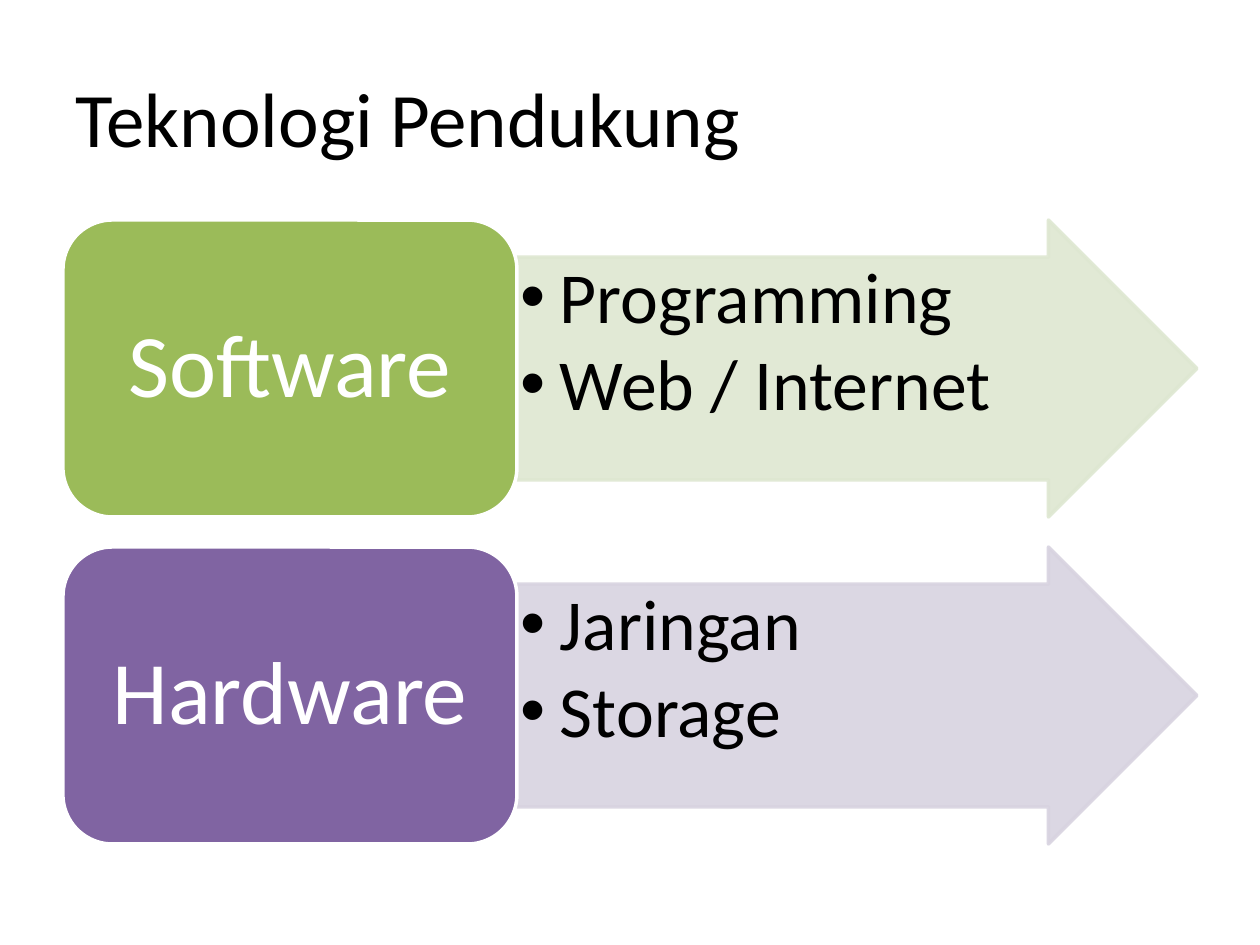
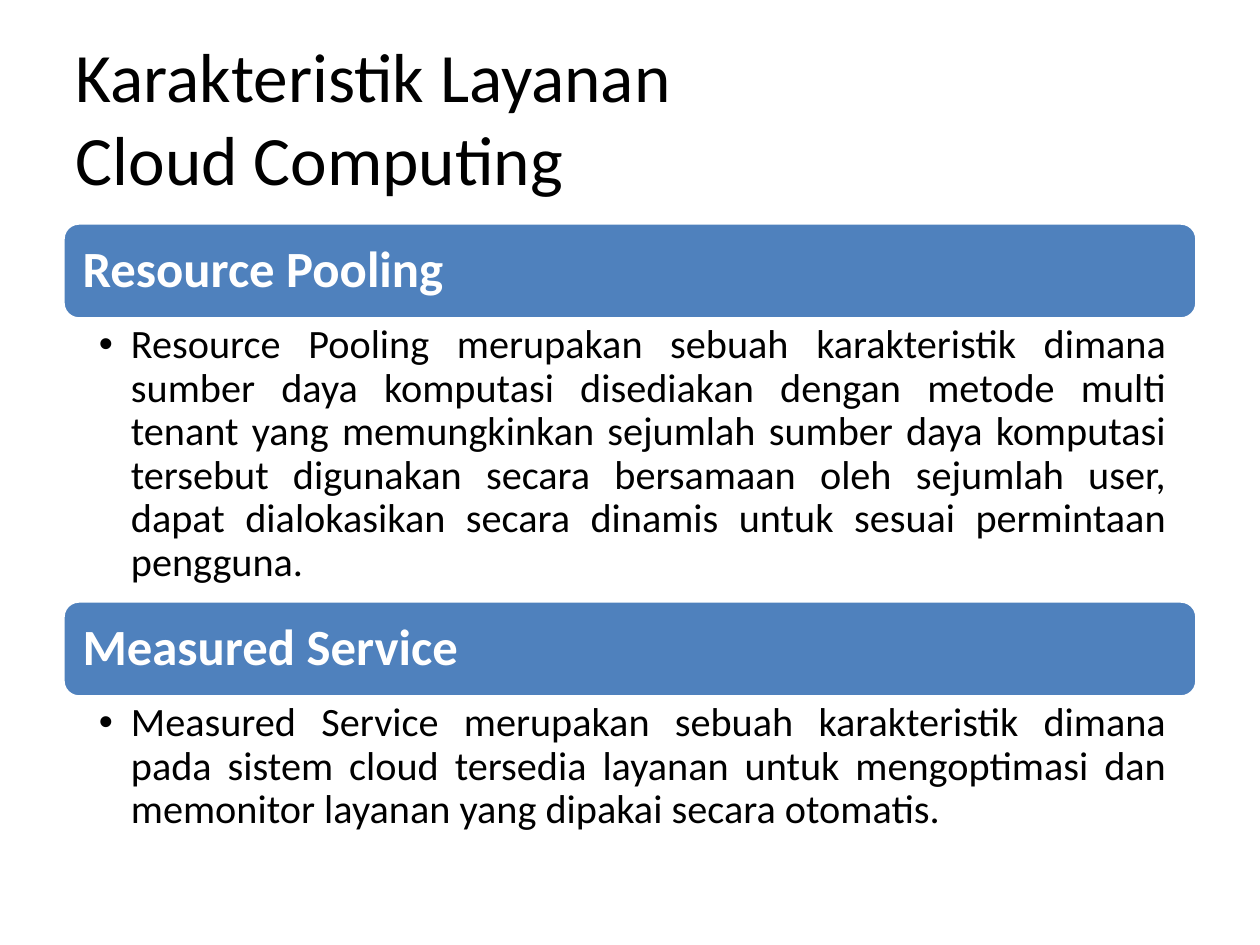
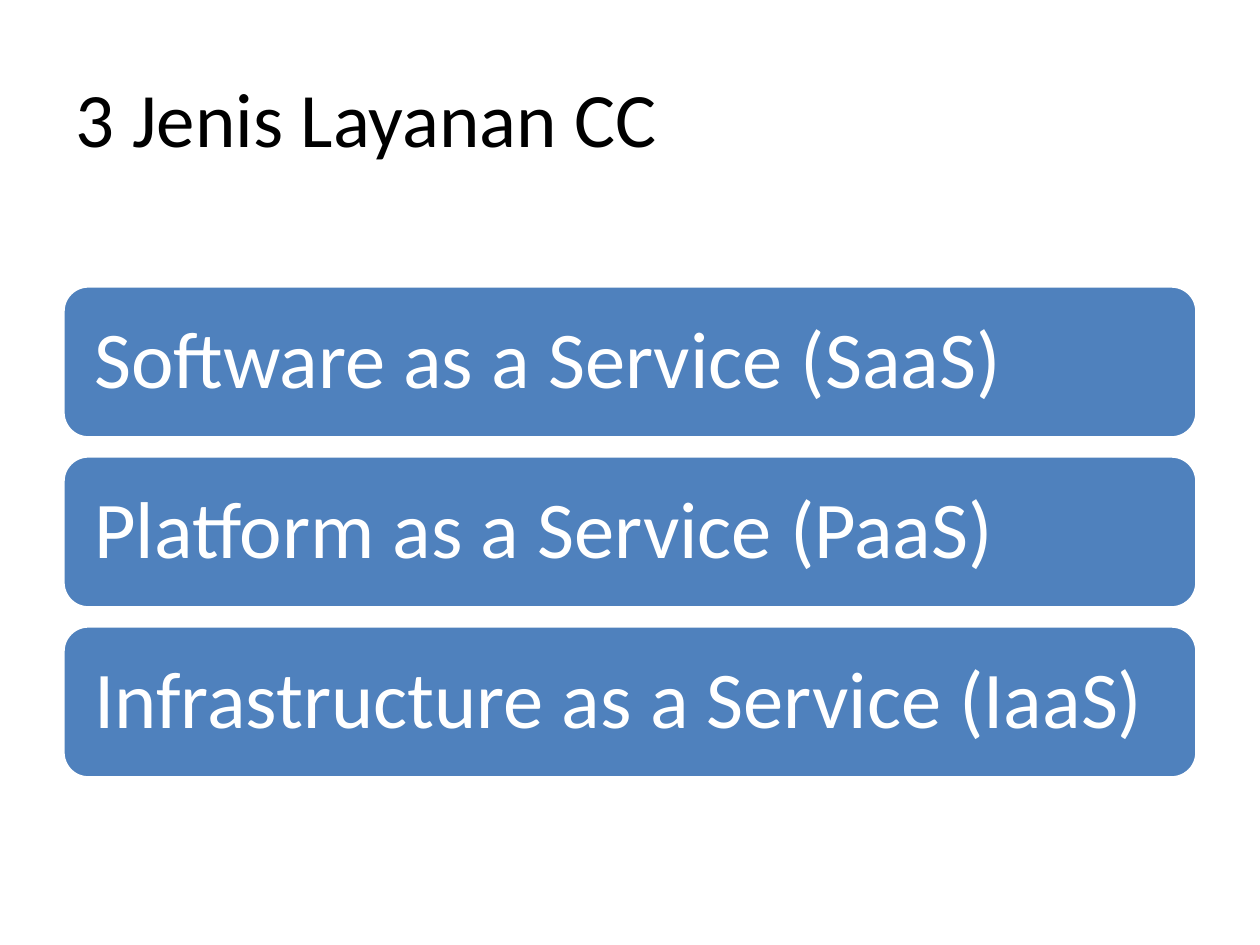
from lxml import etree
from pptx import Presentation
from pptx import util as u
from pptx.dml.color import RGBColor
from pptx.enum import shapes, text
from pptx.oxml.ns import qn

PX = 914400 / 126
FONT = "Calibri"
BLACK = RGBColor(0, 0, 0)
WHITE = RGBColor(255, 255, 255)
GREEN = RGBColor(0x9B, 0xBB, 0x59)
PALE_GREEN = RGBColor(0xDE, 0xE7, 0xD1)
PURPLE = RGBColor(0x80, 0x64, 0xA2)
PALE_PURPLE = RGBColor(0xD8, 0xD3, 0xE0)
BLUE = RGBColor(0x4F, 0x81, 0xBD)

MARGIN = 63
CONTENT_WIDTH = 1134
CATEGORY_WIDTH = 454
ROUND_RECT = shapes.MSO_SHAPE.ROUNDED_RECTANGLE
RIGHT_ARROW = shapes.MSO_SHAPE.RIGHT_ARROW
LEFT, CENTER, JUSTIFY = text.PP_ALIGN.LEFT, text.PP_ALIGN.CENTER, text.PP_ALIGN.JUSTIFY
TOP, MIDDLE = text.MSO_ANCHOR.TOP, text.MSO_ANCHOR.MIDDLE


def px(length):
    return u.Emu(round(length * PX))


def set_frame(frame, insets, anchor):
    frame.word_wrap = True
    frame.vertical_anchor = anchor
    frame.margin_left, frame.margin_top, frame.margin_right, frame.margin_bottom = map(px, insets)


def add_run(paragraph, words, size, color, bold=False):
    run = paragraph.add_run()
    run.text = words
    run.font.name = FONT
    run.font.size = u.Pt(size)
    run.font.color.rgb = color
    run.font.bold = bold


def set_bullet(paragraph, indent):
    properties = paragraph._p.get_or_add_pPr()
    properties.set("marL", str(px(indent)))
    properties.set("indent", str(-px(indent)))
    etree.SubElement(properties, qn("a:buFont")).set("typeface", "Arial")
    etree.SubElement(properties, qn("a:buChar")).set("char", "•")


def write_bullets(frame, items, size, indent, align=LEFT, gap=0):
    for index, item in enumerate(items):
        paragraph = frame.paragraphs[0] if index == 0 else frame.add_paragraph()
        paragraph.alignment = align
        paragraph.line_spacing = 0.9
        paragraph.space_after = u.Pt(gap)
        set_bullet(paragraph, indent)
        add_run(paragraph, item, size, BLACK)


def add_title(slide, lines, size=44):
    title = slide.shapes.add_textbox(px(MARGIN), px(38), px(819), px(157))
    set_frame(title.text_frame, (13, 6, 13, 6), MIDDLE)
    paragraph = title.text_frame.paragraphs[0]
    for index, line in enumerate(lines):
        if index:
            paragraph.add_line_break()
        add_run(paragraph, line, size, BLACK)


def add_block(slide, preset, box, fill, line):
    block = slide.shapes.add_shape(preset, *map(px, box))
    block.shadow.inherit = False
    block.fill.solid()
    block.fill.fore_color.rgb = fill
    block.line.color.rgb = line
    block.line.width = u.Pt(2)
    return block


def add_label_block(slide, box, fill, label, size, insets, align=LEFT, bold=False):
    block = add_block(slide, ROUND_RECT, box, fill, WHITE)
    set_frame(block.text_frame, insets, MIDDLE)
    paragraph = block.text_frame.paragraphs[0]
    paragraph.alignment = align
    paragraph.line_spacing = 0.9
    add_run(paragraph, label, size, WHITE, bold)


def add_bullet_arrow(slide, box, color, items):
    arrow = add_block(slide, RIGHT_ARROW, box, color, color)
    arrow.adjustments[0] = 0.75
    arrow.adjustments[1] = 0.5
    for tint in arrow._element.spPr.iter(qn("a:srgbClr")):
        etree.SubElement(tint, qn("a:alpha")).set("val", "90000")
    set_frame(arrow.text_frame, (4, 4, 4, 4), TOP)
    write_bullets(arrow.text_frame, items, 41, 39, gap=5.5)


def add_description(slide, box, words):
    description = slide.shapes.add_textbox(*map(px, box))
    set_frame(description.text_frame, (36, 5, 29, 5), TOP)
    write_bullets(description.text_frame, [words], 23, 32, JUSTIFY)


def build_technologies(slide):
    add_title(slide, ["Teknologi Pendukung"])
    height, pitch = 297, 327
    categories = [
        ("Software", GREEN, PALE_GREEN, ["Programming", "Web / Internet"]),
        ("Hardware", PURPLE, PALE_PURPLE, ["Jaringan", "Storage"]),
    ]
    for row, (category, color, pale, items) in enumerate(categories):
        top = 220 + row * pitch
        arrow_box = (MARGIN + CATEGORY_WIDTH, top, CONTENT_WIDTH - CATEGORY_WIDTH, height)
        add_bullet_arrow(slide, arrow_box, pale, items)
        add_label_block(slide, (MARGIN, top, CATEGORY_WIDTH, height), color, category, 51,
                        (26, 14, 26, 14), CENTER)


def build_characteristics(slide):
    add_title(slide, ["Karakteristik Layanan ", "Cloud Computing"], 39.6)
    heading_height = 96
    characteristics = [
        ("Resource Pooling", 282,
         "Resource Pooling merupakan sebuah karakteristik dimana sumber daya komputasi "
         "disediakan dengan metode multi tenant yang memungkinkan sejumlah sumber daya "
         "komputasi tersebut digunakan secara bersamaan oleh sejumlah user, dapat "
         "dialokasikan secara dinamis untuk sesuai permintaan pengguna."),
        ("Measured Service", 145,
         "Measured Service merupakan sebuah karakteristik dimana pada sistem cloud tersedia "
         "layanan untuk mengoptimasi dan memonitor layanan yang dipakai secara otomatis."),
    ]
    top = 223
    for heading, height, words in characteristics:
        add_label_block(slide, (MARGIN, top, CONTENT_WIDTH, heading_height), BLUE, heading, 29,
                        (15, 15, 15, 15), bold=True)
        top += heading_height
        add_description(slide, (MARGIN, top, CONTENT_WIDTH, height), words)
        top += height


def build_services(slide):
    add_title(slide, ["3 Jenis Layanan CC"])
    services = [
        "Software as a Service (SaaS)",
        "Platform as a Service (PaaS)",
        "Infrastructure as a Service (IaaS)",
    ]
    for row, service in enumerate(services):
        add_label_block(slide, (MARGIN, 286 + row * 170, CONTENT_WIDTH, 152), BLUE, service, 46,
                        (24, 24, 24, 24))


def main():
    deck = Presentation()
    deck.slide_width, deck.slide_height = px(1260), px(945)
    for build in (build_technologies, build_characteristics, build_services):
        build(deck.slides.add_slide(deck.slide_layouts[6]))
    deck.save("out.pptx")


if __name__ == "__main__":
    main()
